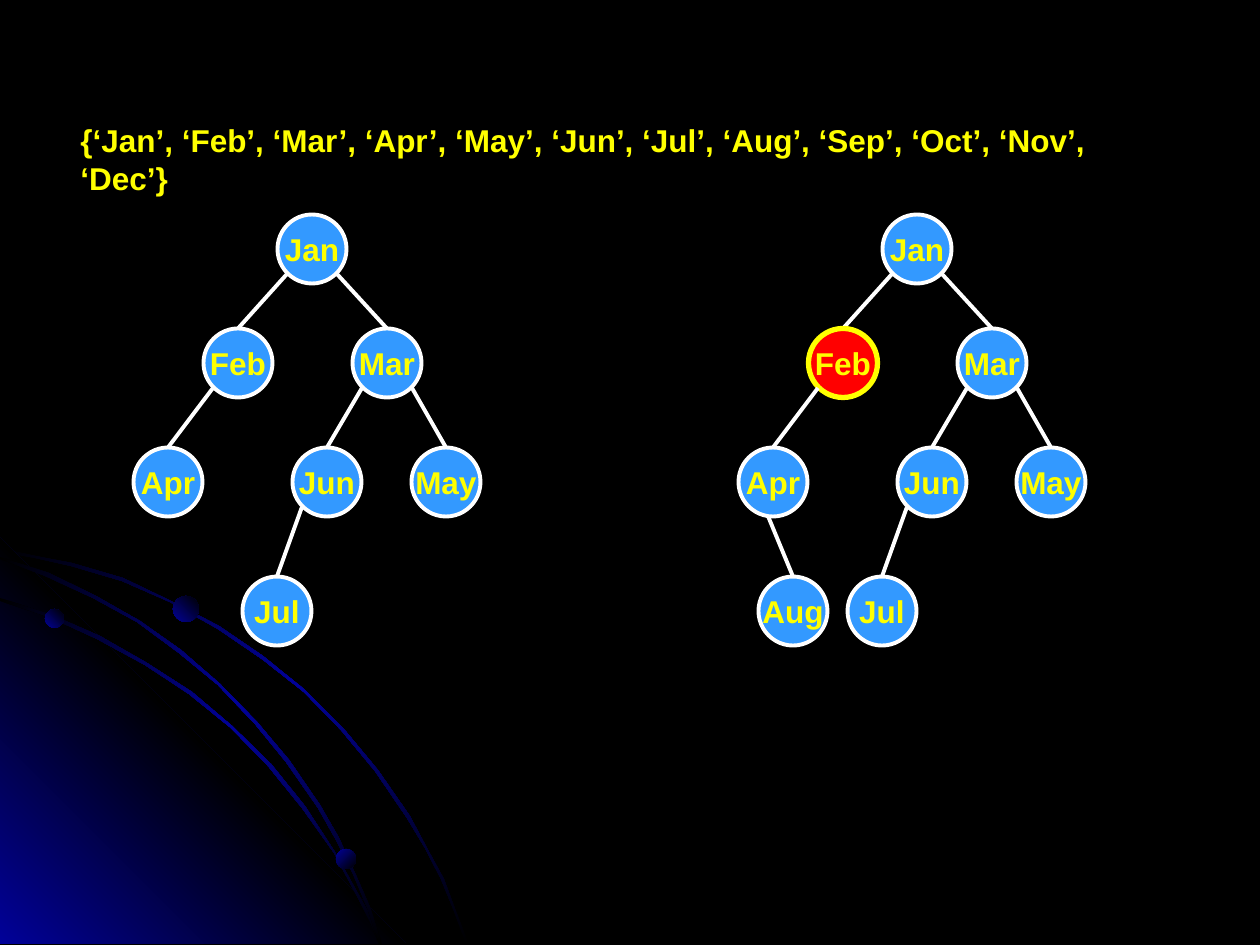
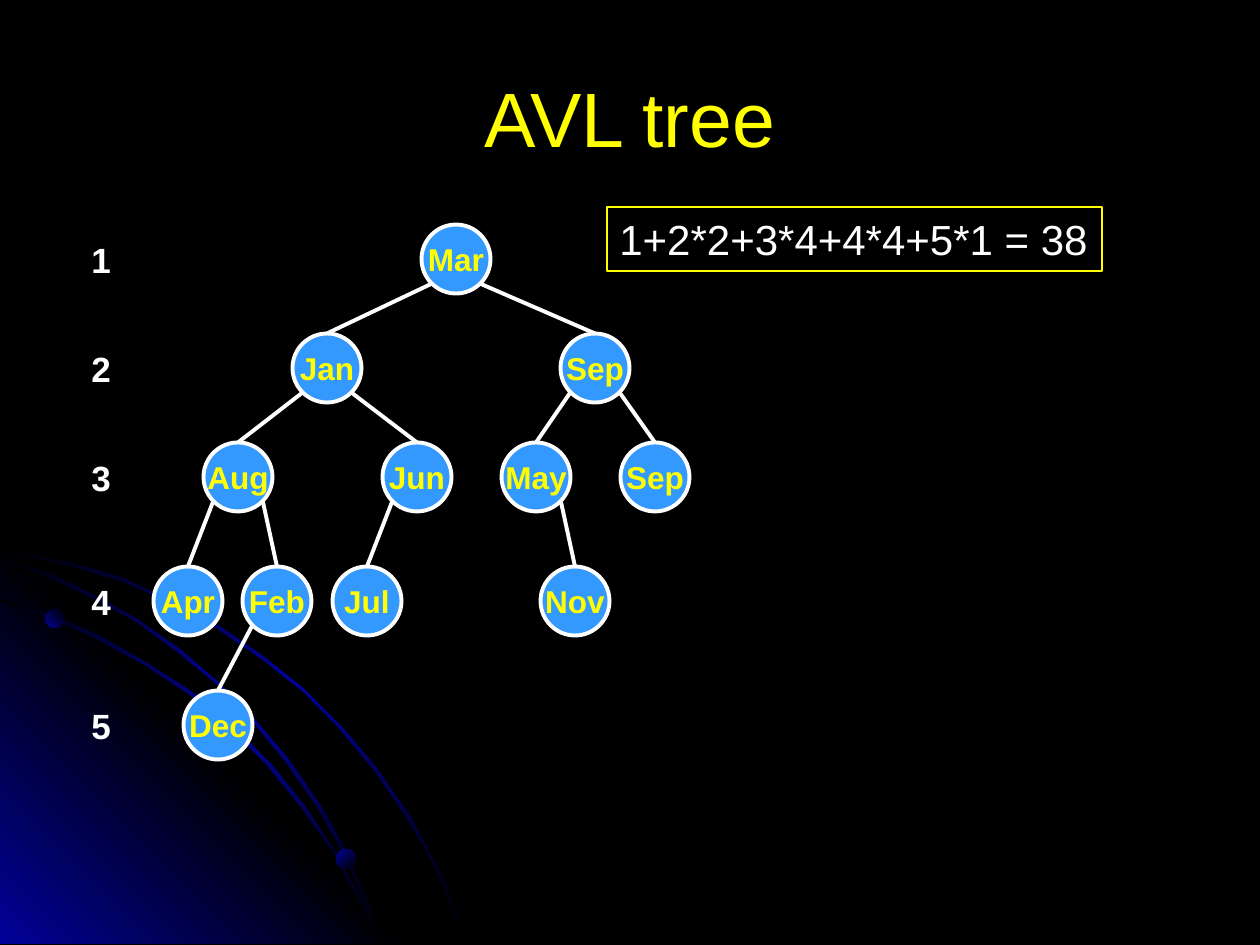
import pptx
import pptx.util
import pptx.dml.color
import pptx.enum.shapes
import pptx.enum.text
import pptx.oxml
import pptx.oxml.ns
from lxml import etree

EMU_PER_PX = 914400 / 126
FONT = "Arial"
COLORS = {
    "black": "000000",
    "navy": "010199",
    "blue": "3399FF",
    "white": "FFFFFF",
    "yellow": "FFFF00",
    "red": "FF0000",
}
NODE = 69
STEM = 25
LABEL_RISE = 27

OUTER_ARC = [
    (0, 548), (36, 556), (72, 563), (123, 578), (171, 601), (219, 626),
    (263, 656), (305, 690), (343, 728), (378, 770), (410, 816), (427, 848),
    (444, 879), (456, 911), (469, 944), (466, 944), (454, 911), (441, 879),
    (425, 848), (407, 818), (375, 771), (341, 730), (304, 692), (262, 659),
    (218, 629), (170, 602), (122, 581), (71, 566), (35, 558), (0, 552),
]
CORNER = [(406, 944), (0, 944), (0, 538)]
INNER_ARC = [
    (0, 598), (52, 615), (100, 636), (147, 663), (192, 692), (232, 726),
    (271, 764), (305, 806), (335, 852), (360, 897), (373, 920), (382, 944),
    (379, 944), (370, 922), (359, 900), (334, 853), (302, 808), (268, 766),
    (231, 728), (189, 694), (145, 665), (97, 639), (49, 617), (0, 601),
]
MIDDLE_ARC = [
    (0, 557), (49, 573), (96, 596), (140, 621), (181, 650), (220, 684),
    (257, 722), (289, 760), (320, 805), (339, 838), (355, 873), (370, 907),
    (382, 944), (379, 944), (368, 910), (353, 874), (336, 840), (318, 808),
    (286, 762), (255, 724), (218, 685), (179, 653), (137, 622), (93, 598),
    (45, 576), (0, 559),
]
ARC_FADE = ["black", "navy", "black"]
CORNER_FADE = ["navy", "black", "navy"]
DOT_FADE = ["navy", "black"]
DOTS = [(45, 609, 19, 45), (336, 849, 20, 315), (173, 596, 26, 45)]

INSERT_ROWS = [249, 363, 482, 611]
RIGHT_SHIFT = 605
AVL_ROWS = [259, 368, 477, 601, 725]
AVL_TREE = ("Mar", 456, [
    ("Jan", 327, [
        ("Aug", 238, [
            ("Apr", 188, []),
            ("Feb", 277, [("Dec", 218, [])]),
        ]),
        ("Jun", 417, [("Jul", 367, [])]),
    ]),
    ("Sep", 595, [
        ("May", 536, [("Nov", 575, [])]),
        ("Sep", 655, []),
    ]),
])


def px(n):
    return round(n * EMU_PER_PX)


def rgb(color):
    return pptx.dml.color.RGBColor.from_string(COLORS[color])


def set_line(shape, color, width):
    shape.line.color.rgb = rgb(color)
    shape.line.width = pptx.util.Pt(width)


def set_gradient(sp, fade, angle):
    sp.shadow.inherit = False
    sp.line.fill.background()
    sp.fill.gradient()
    sp.fill.gradient_angle = angle
    qn = pptx.oxml.ns.qn
    stops = sp.element.spPr.find(".//" + qn("a:gsLst"))
    stops.clear()
    for i, color in enumerate(fade):
        pos = str(100000 * i // (len(fade) - 1))
        stop = etree.SubElement(stops, qn("a:gs"), pos=pos)
        etree.SubElement(stop, qn("a:srgbClr"), val=COLORS[color])


def write(shape, text, size, color, bold=False, align="LEFT", anchor="TOP", wrap=False):
    tf = shape.text_frame
    tf.word_wrap = wrap
    tf.vertical_anchor = getattr(pptx.enum.text.MSO_ANCHOR, anchor)
    p = tf.paragraphs[0]
    p.alignment = getattr(pptx.enum.text.PP_ALIGN, align)
    r = p.add_run()
    r.text = text
    r.font.name = FONT
    r.font.size = pptx.util.Pt(size)
    r.font.bold = bold
    r.font.color.rgb = rgb(color)


def add_preset(s, kind, x, y, w, h):
    shape_type = getattr(pptx.enum.shapes.MSO_SHAPE, kind)
    sp = s.shapes.add_shape(shape_type, px(x), px(y), px(w), px(h))
    sp.shadow.inherit = False
    return sp


def add_outline(s, points, fade, angle):
    builder = s.shapes.build_freeform(*points[0], scale=EMU_PER_PX)
    builder.add_line_segments(points[1:], close=True)
    set_gradient(builder.convert_to_shape(), fade, angle)


def add_backdrop(s):
    add_outline(s, OUTER_ARC, ARC_FADE, 315)
    add_outline(s, CORNER, CORNER_FADE, 45)
    add_outline(s, INNER_ARC, ARC_FADE, 315)
    add_outline(s, MIDDLE_ARC, ARC_FADE, 315)
    for x, y, size, angle in DOTS:
        set_gradient(add_preset(s, "OVAL", x, y, size, size), DOT_FADE, angle)


def add_text(s, x, y, w, h, text, size, color, wrap=False):
    sp = s.shapes.add_textbox(px(x), px(y), px(w), px(h))
    write(sp, text, size, color, bold=True, wrap=wrap)


def add_node(s, x, y, text, fill="blue", line="white", width=2.25):
    sp = add_preset(s, "OVAL", x - NODE / 2, y - NODE / 2, NODE, NODE)
    sp.fill.solid()
    sp.fill.fore_color.rgb = rgb(fill)
    set_line(sp, line, width)
    write(sp, text, 18, "yellow", bold=True, align="CENTER", anchor="MIDDLE")


def add_edge(s, x1, y1, x2, y2):
    straight = pptx.enum.shapes.MSO_CONNECTOR.STRAIGHT
    cxn = s.shapes.add_connector(straight, px(x1), px(y1), px(x2), px(y2))
    set_line(cxn, "white", 2.25)
    etree.SubElement(cxn.element.spPr, pptx.oxml.ns.qn("a:effectLst"))


def add_tree(s, tree, rows, shift=0, styles={}, stems={}):
    name, local_x, children = tree
    x, y = local_x + shift, rows[0]
    add_node(s, x, y, name, **styles.get(name, {}))
    for child in children:
        child_name, child_x, _ = child
        side = STEM if child_x > local_x else -STEM
        dx, dy = stems.get(child_name, (side, STEM))
        add_edge(s, x + dx, y + dy, child_x + shift, rows[1] - NODE / 2)
        add_tree(s, child, rows[1:], shift, styles, stems)


def month_tree(apr_children):
    return ("Jan", 312, [
        ("Feb", 238, [("Apr", 168, apr_children)]),
        ("Mar", 387, [
            ("May", 446, []),
            ("Jun", 327, [("Jul", 277, [])]),
        ]),
    ])


def add_slide(prs, layout):
    s = prs.slides.add_slide(prs.slide_layouts[layout])
    add_backdrop(s)
    return s


def build_insertion(prs):
    s = add_slide(prs, 6)
    add_tree(s, month_tree([]), INSERT_ROWS)
    months = "{‘Jan’, ‘Feb’, ‘Mar’, ‘Apr’, ‘May’, ‘Jun’, ‘Jul’, ‘Aug’, ‘Sep’, ‘Oct’, ‘Nov’, ‘Dec’}"
    add_text(s, 68, 115, 1124, 50, months, 18, "yellow", wrap=True)
    unbalanced = {"Feb": {"fill": "red", "line": "yellow", "width": 3}}
    add_tree(s, month_tree([("Aug", 188, [])]), INSERT_ROWS, RIGHT_SHIFT,
             unbalanced, {"Aug": (-5, 34)})


def build_avl(prs):
    s = add_slide(prs, 5)
    title = s.shapes.title
    title.left, title.top, title.width, title.height = map(px, (63, 38, 1134, 158))
    write(title, "AVL tree", 44, "yellow", align="CENTER", anchor="MIDDLE", wrap=True)
    add_tree(s, AVL_TREE, AVL_ROWS)
    for level, y in enumerate(AVL_ROWS, 1):
        add_text(s, 79, y - LABEL_RISE, 45, 54, str(level), 20, "white")
    cost = add_preset(s, "RECTANGLE", 607, 207, 495, 64)
    cost.fill.background()
    set_line(cost, "yellow", 0.75)
    write(cost, "1+2*2+3*4+4*4+5*1 = 38", 24, "white")


def main():
    prs = pptx.Presentation()
    prs.slide_width, prs.slide_height = px(1260), px(945)
    background = prs.slide_master.background.fill
    background.solid()
    background.fore_color.rgb = rgb("black")
    build_insertion(prs)
    build_avl(prs)
    prs.save("out.pptx")


if __name__ == "__main__":
    main()
